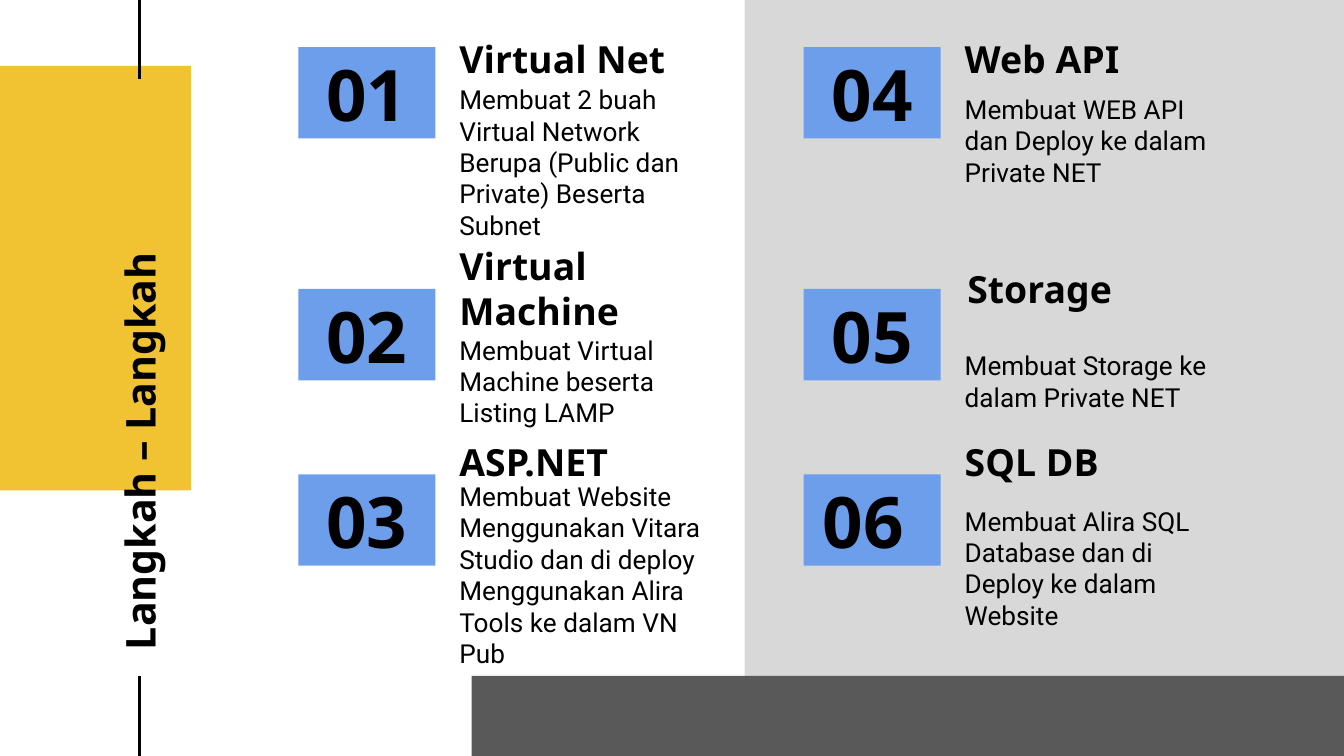
from dataclasses import dataclass

from lxml import etree
from pptx import Presentation
from pptx.dml.color import RGBColor
from pptx.enum.shapes import MSO_CONNECTOR, MSO_SHAPE
from pptx.enum.text import MSO_ANCHOR, PP_ALIGN
from pptx.oxml.ns import qn
from pptx.shapes.autoshape import Shape
from pptx.slide import Slide
from pptx.util import Inches, Pt

RECTANGLE = MSO_SHAPE.RECTANGLE
STRAIGHT = MSO_CONNECTOR.STRAIGHT
MIDDLE = MSO_ANCHOR.MIDDLE
LEFT, CENTER = PP_ALIGN.LEFT, PP_ALIGN.CENTER

BLACK = RGBColor(0x00, 0x00, 0x00)
YELLOW = RGBColor(0xF1, 0xC2, 0x32)
LIGHT_GRAY = RGBColor(0xD8, 0xD8, 0xD8)
DARK_GRAY = RGBColor(0x59, 0x59, 0x59)
BLUE = RGBColor(0x6D, 0x9E, 0xEB)

TITLE_FONT = {"name": "Noto Sans", "size": Pt(22), "bold": True}
NUMBER_FONT = {"name": "Noto Sans", "size": Pt(38), "bold": True}
HEADING_FONT = {"name": "Noto Sans", "size": Pt(20), "bold": True}
DETAIL_FONT = {"name": "Roboto", "size": Pt(14), "bold": False}

# 16:9 slide
SLIDE_WIDTH = 10
SLIDE_HEIGHT = SLIDE_WIDTH * 9 / 16
BAND_TOP = 5.03

COLUMN_LEFTS = (2.22, 5.98)
NUMBER_TOPS = (0.35, 2.15, 3.53)
HEADING_TOPS = (0.25, 1.96, 3.25)
NUMBER_WIDTH, NUMBER_HEIGHT = 1.02, 0.68
TEXT_OFFSET, TEXT_WIDTH = 1.10, 2.07
HEADING_HEIGHT = 0.37


@dataclass(frozen=True)
class Step:
    number: str
    heading: str
    detail: str
    detail_top: float
    detail_height: float = 0.81
    heading_shift: float = 0


# Steps run down the left column, then down the right one
STEPS = (
    Step("01", "Virtual Net",
         "Membuat 2 buah Virtual Network Berupa (Public dan Private) Beserta Subnet",
         0.64, detail_height=1.13),
    Step("02", "Virtual Machine",
         "Membuat Virtual Machine beserta Listing LAMP", 2.43),
    Step("03", "ASP.NET",
         "Membuat Website Menggunakan Vitara Studio dan di deploy "
         "Menggunakan Alira Tools ke dalam VN Pub", 3.87),
    Step("04", "Web API",
         "Membuat WEB API dan Deploy ke dalam Private NET", 0.64),
    Step("05", "Storage",
         "Membuat Storage ke dalam Private NET", 2.43, heading_shift=0.02),
    Step("06 ", "SQL DB",
         "Membuat Alira SQL Database dan di Deploy ke dalam Website", 3.82),
)


def add_block(slide: Slide, left: float, top: float, width: float,
              height: float, color: RGBColor) -> Shape:
    block = slide.shapes.add_shape(
        RECTANGLE, Inches(left), Inches(top), Inches(width), Inches(height))
    block.shadow.inherit = False
    block.fill.solid()
    block.fill.fore_color.rgb = color
    block.line.fill.background()
    return block


def add_vertical_line(slide: Slide, x: float, top: float, bottom: float) -> None:
    rule = slide.shapes.add_connector(
        STRAIGHT, Inches(x), Inches(top), Inches(x), Inches(bottom))
    rule.line.color.rgb = BLACK
    rule.line.width = Pt(1.5)
    etree.SubElement(rule._element.spPr, qn("a:effectLst"))


def write(holder: Shape, words: str, font: dict, align: PP_ALIGN = LEFT) -> None:
    frame = holder.text_frame
    frame_format = {"word_wrap": True, "vertical_anchor": MIDDLE}
    for side in ("left", "right", "top", "bottom"):
        frame_format[f"margin_{side}"] = Inches(0.1)
    for name, value in frame_format.items():
        setattr(frame, name, value)
    paragraph = frame.paragraphs[0]
    paragraph.alignment = align
    run = paragraph.add_run()
    run.text = words
    for name, value in font.items():
        setattr(run.font, name, value)
    run.font.color.rgb = BLACK


def add_text(slide: Slide, left: float, top: float, width: float,
             height: float, words: str, font: dict) -> Shape:
    box = slide.shapes.add_textbox(
        Inches(left), Inches(top), Inches(width), Inches(height))
    write(box, words, font)
    return box


def add_step(slide: Slide, step: Step, column: int, row: int) -> None:
    left = COLUMN_LEFTS[column]
    text_left = left + TEXT_OFFSET
    number = add_block(slide, left, NUMBER_TOPS[row],
                       NUMBER_WIDTH, NUMBER_HEIGHT, BLUE)
    write(number, step.number, NUMBER_FONT, CENTER)
    add_text(slide, text_left + step.heading_shift, HEADING_TOPS[row],
             TEXT_WIDTH, HEADING_HEIGHT, step.heading, HEADING_FONT)
    add_text(slide, text_left, step.detail_top,
             TEXT_WIDTH, step.detail_height, step.detail, DETAIL_FONT)


def main() -> None:
    deck = Presentation()
    deck.slide_width = Inches(SLIDE_WIDTH)
    deck.slide_height = Inches(SLIDE_HEIGHT)
    slide = deck.slides.add_slide(deck.slide_layouts[6])

    # Background blocks and rules
    add_block(slide, -0.46, 0.49, 1.88, 3.16, YELLOW)
    add_vertical_line(slide, 1.04, -1.47, 0.59)
    add_vertical_line(slide, 1.04, BAND_TOP, 7.1)
    add_block(slide, 5.54, 0, 4.46, SLIDE_HEIGHT, LIGHT_GRAY)
    add_block(slide, 3.51, BAND_TOP, 6.49, SLIDE_HEIGHT - BAND_TOP, DARK_GRAY)

    # Sideways title
    title = add_text(slide, -1.09, 2.55, 4.25, 0.52,
                     "Langkah – Langkah", TITLE_FONT)
    title.rotation = 270

    # Numbered steps
    for index, step in enumerate(STEPS):
        column, row = divmod(index, len(NUMBER_TOPS))
        add_step(slide, step, column, row)

    deck.save("out.pptx")


if __name__ == "__main__":
    main()
